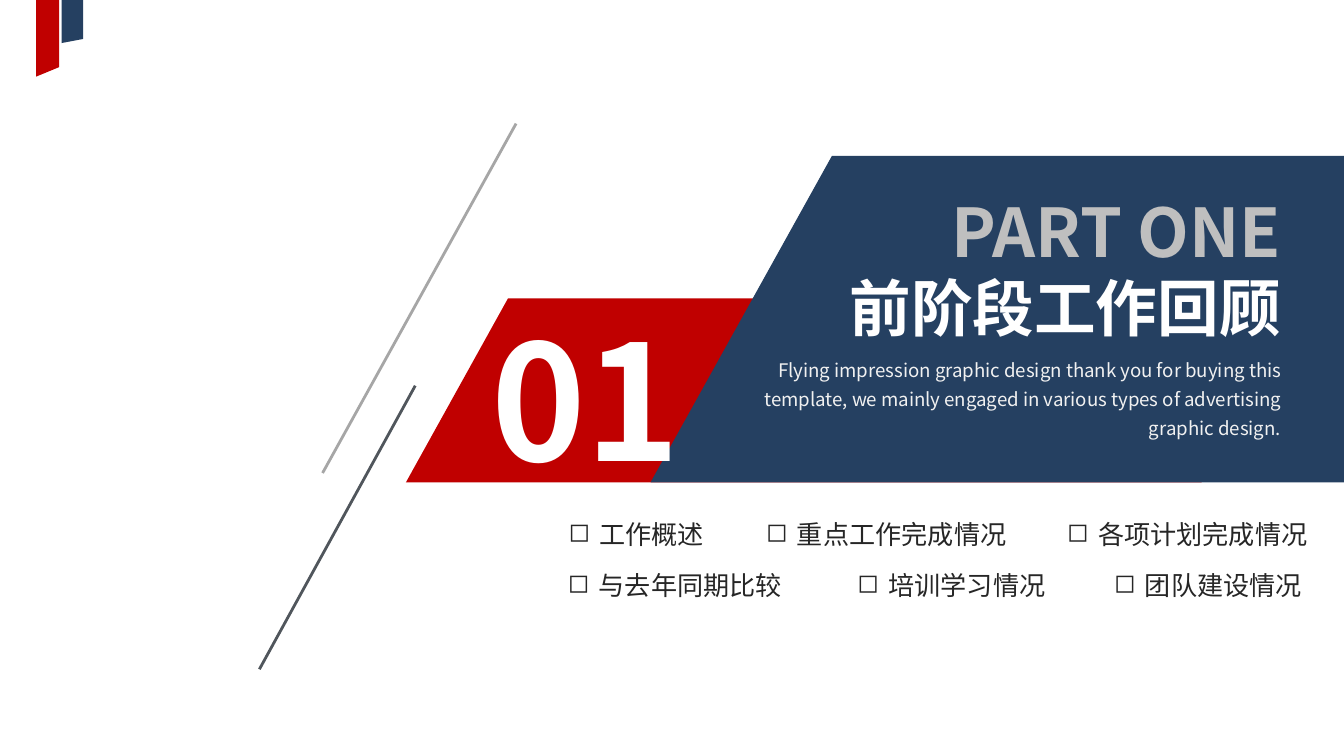
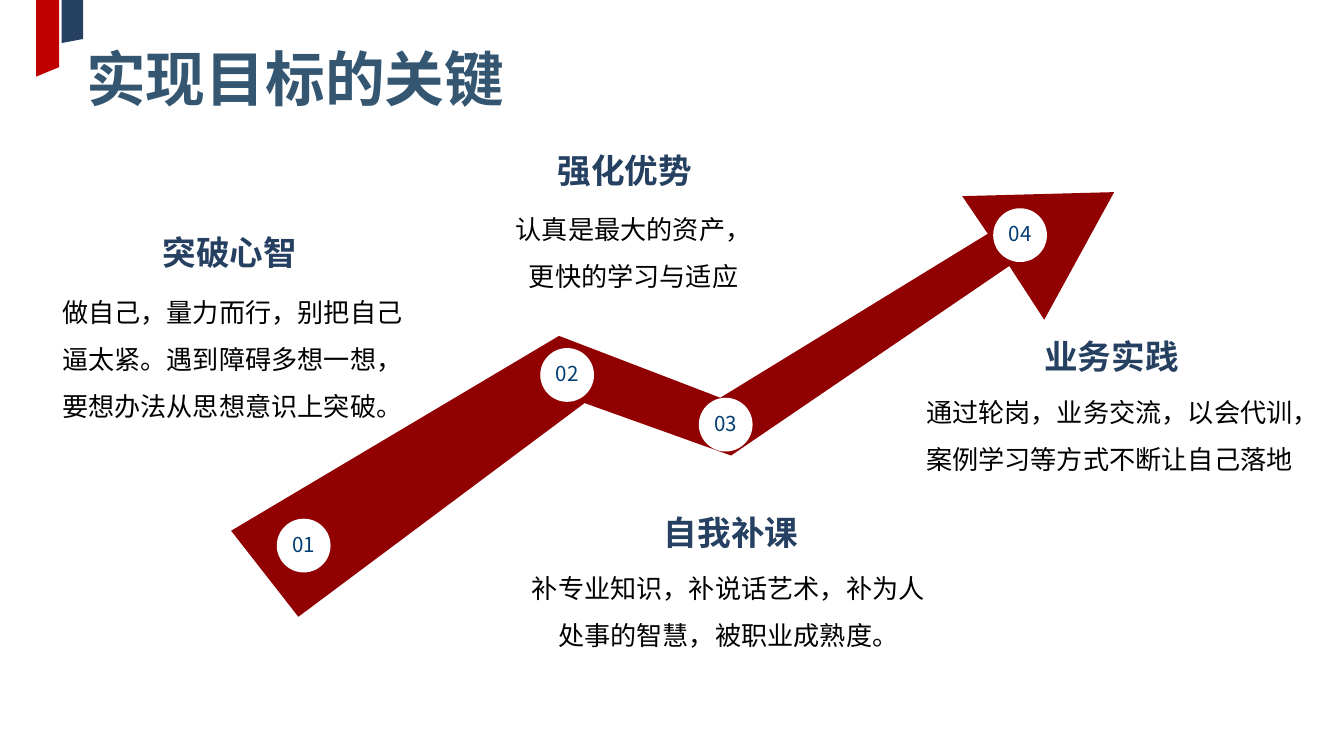
"""Build a section opener and a four-step arrow slide."""
import lxml.etree
import pptx
import pptx.dml.color
import pptx.enum.shapes
import pptx.enum.text
import pptx.oxml.ns
import pptx.util

EMU_PER_PX = 9144
FONT = "Noto Sans CJK SC"
COLORS = {
    "red": "C00000", "navy": "254061", "arrow": "910101", "title": "345671",
    "slate": "50565C", "gray": "A6A6A6", "silver": "BFBFBF", "pale": "F1F1F1",
    "white": "FFFFFF", "ink": "262626", "black": "000000", "number": "003C72",
}
ALIGN = pptx.enum.text.PP_ALIGN
ANCHOR = pptx.enum.text.MSO_ANCHOR
TIGHT = (7, 4)
FLAT = (0, 4)

CORNER_BANDS = [
    ("red", [(27, 0), (44, 0), (44, 50), (27, 57)]),
    ("navy", [(46, 0), (62, 0), (62, 29), (46, 32)]),
]

SECTION_NUMBER = "01"
SECTION_LABEL = "PART ONE"
SECTION_TITLE = "前阶段工作回顾"
SECTION_NOTE = (
    "Flying impression graphic design thank you for buying this template, "
    "we mainly engaged in various types of advertising graphic design."
)
SECTION_PANELS = [
    ("red", [(302, 359), (378, 222), (894, 222), (894, 359)]),
    ("navy", [(484, 359), (619, 116), (1076, 116), (1076, 359)]),
]
SLANTED_LINES = [
    ("slate", (193, 498), (309, 287)),
    ("gray", (240, 352), (384, 92)),
]
TOPIC_ROWS = [
    (382, [(414, "工作概述"), (561, "重点工作完成情况"), (785, "各项计划完成情况")]),
    (420, [(414, "与去年同期比较"), (629, "培训学习情况"), (820, "团队建设情况")]),
]

KEYS_TITLE = "实现目标的关键"
ARROW_POINTS = [
    (716, 146), (735, 174), (536, 296), (416, 250), (172, 395), (222, 459),
    (435, 300), (544, 339), (751, 198), (777, 238), (829, 143),
]
KEY_STEPS = [
    {"circle": (206, 386), "heading": "突破心智", "heading_at": (72, 177),
     "text": "做自己，量力而行，别把自己逼太紧。遇到障碍多想一想，要想办法从思想意识上突破。",
     "text_box": (43, 209, 260, 106)},
    {"circle": (402, 259), "heading": "强化优势", "heading_at": (366, 116),
     "text": "认真是最大的资产，\n更快的学习与适应",
     "text_box": (382, 147, 179, 71)},
    {"circle": (520, 296), "heading": "自我补课", "heading_at": (445, 385),
     "text": "补专业知识，补说话艺术，补为人处事的智慧，被职业成熟度。",
     "text_box": (390, 414, 304, 71)},
    {"circle": (739, 155), "heading": "业务实践", "heading_at": (728, 254),
     "text": "通过轮岗，业务交流，以会代训，案例学习等方式不断让自己落地",
     "text_box": (681, 283, 289, 71)},
]


def px(value):
    return pptx.util.Emu(value * EMU_PER_PX)


def rgb(name):
    return pptx.dml.color.RGBColor.from_string(COLORS[name])


def add_text(slide, text, box, shape=None, size=14, color="black", bold=False,
             align=ALIGN.LEFT, anchor=ANCHOR.TOP, insets=(10, 5), wrap=True,
             grow=True, line_spacing=1.0, space_before=0, bullet=None):
    if shape is None:
        shape = slide.shapes.add_textbox(*map(px, box))
    else:
        shape.left, shape.top, shape.width, shape.height = map(px, box)
        slide.shapes.element.append(shape.element)
    frame = shape.text_frame
    frame.text = text
    frame.word_wrap = wrap
    frame.vertical_anchor = anchor
    frame.margin_left = frame.margin_right = px(insets[0])
    frame.margin_top = frame.margin_bottom = px(insets[1])
    fit = pptx.enum.text.MSO_AUTO_SIZE
    frame.auto_size = fit.SHAPE_TO_FIT_TEXT if grow else fit.NONE
    for paragraph in frame.paragraphs:
        paragraph.alignment = align
        paragraph.line_spacing = line_spacing
        paragraph.space_before = pptx.util.Pt(space_before)
        for run in paragraph.runs:
            run.font.size = pptx.util.Pt(size)
            run.font.bold = bold
            run.font.color.rgb = rgb(color)
            run.font.name = FONT
    qn = pptx.oxml.ns.qn
    for properties in shape.element.iter(qn("a:rPr")):
        lxml.etree.SubElement(properties, qn("a:ea"), typeface=FONT)
    if bullet:
        for properties in shape.element.iter(qn("a:pPr")):
            properties.set("marL", str(px(23)))
            properties.set("indent", str(px(-23)))
            lxml.etree.SubElement(properties, qn("a:buChar"), char=bullet)
    return shape


def paint(shape, color):
    shape.shadow.inherit = False
    shape.fill.solid()
    shape.fill.fore_color.rgb = rgb(color)
    shape.line.fill.background()


def add_polygon(slide, color, points):
    builder = slide.shapes.build_freeform(*points[0], scale=EMU_PER_PX)
    builder.add_line_segments(points[1:], close=True)
    paint(builder.convert_to_shape(), color)


def add_line(slide, color, start, end):
    connector = slide.shapes.add_connector(
        pptx.enum.shapes.MSO_CONNECTOR.STRAIGHT, *map(px, start + end))
    connector.line.color.rgb = rgb(color)
    connector.line.width = pptx.util.Pt(1.5)
    properties = connector.element.find(pptx.oxml.ns.qn("p:spPr"))
    lxml.etree.SubElement(properties, pptx.oxml.ns.qn("a:effectLst"))


def add_slide(presentation, layout_index):
    slide = presentation.slides.add_slide(presentation.slide_layouts[layout_index])
    for color, points in CORNER_BANDS:
        add_polygon(slide, color, points)
    return slide


def build_section(presentation):
    slide = add_slide(presentation, 0)
    title, note = slide.placeholders
    for color, points in SECTION_PANELS:
        add_polygon(slide, color, points)
    for color, start, end in SLANTED_LINES:
        add_line(slide, color, start, end)
    add_text(slide, SECTION_LABEL, (695, 137, 268, 71), size=36, color="silver",
             bold=True, align=ALIGN.RIGHT, wrap=False)
    add_text(slide, SECTION_TITLE, (592, 196, 371, 66), shape=title, size=33,
             color="white", bold=True, align=ALIGN.RIGHT)
    add_text(slide, SECTION_NOTE, (555, 257, 408, 76), shape=note, size=10,
             color="pale", align=ALIGN.RIGHT, line_spacing=1.3)
    add_text(slide, SECTION_NUMBER, (348, 220, 176, 153), size=86, color="white",
             bold=True, align=ALIGN.CENTER, insets=TIGHT)
    for top, topics in TOPIC_ROWS:
        for left, topic in topics:
            width = 39 + 39 * len(topic) // 2
            add_text(slide, topic, (left, top, width, 31), color="ink",
                     align=ALIGN.RIGHT, insets=TIGHT, wrap=False, bullet="◻")


def build_keys(presentation):
    slide = add_slide(presentation, 5)
    add_text(slide, KEYS_TITLE, (57, 27, 490, 61), shape=slide.shapes.title,
             size=32, color="title", bold=True, insets=TIGHT)
    add_polygon(slide, "arrow", ARROW_POINTS)
    label_format = dict(align=ALIGN.CENTER, anchor=ANCHOR.MIDDLE, insets=FLAT,
                        grow=False, line_spacing=0.9, space_before=10)
    for number, step in enumerate(KEY_STEPS, 1):
        circle_box = (*step["circle"], 40, 40)
        circle = slide.shapes.add_shape(
            pptx.enum.shapes.MSO_SHAPE.OVAL, *map(px, circle_box))
        paint(circle, "white")
        add_text(slide, f"{number:02}", circle_box, shape=circle, size=11,
                 color="number", **label_format)
        add_text(slide, step["text"], step["text_box"], align=ALIGN.CENTER,
                 insets=(0, 0), line_spacing=1.5)
        add_text(slide, step["heading"], (*step["heading_at"], 198, 25), size=18,
                 color="navy", bold=True, **label_format)


def main():
    presentation = pptx.Presentation()
    presentation.slide_width = pptx.util.Pt(720)
    presentation.slide_height = pptx.util.Pt(405)
    build_section(presentation)
    build_keys(presentation)
    presentation.save("out.pptx")


if __name__ == "__main__":
    main()
